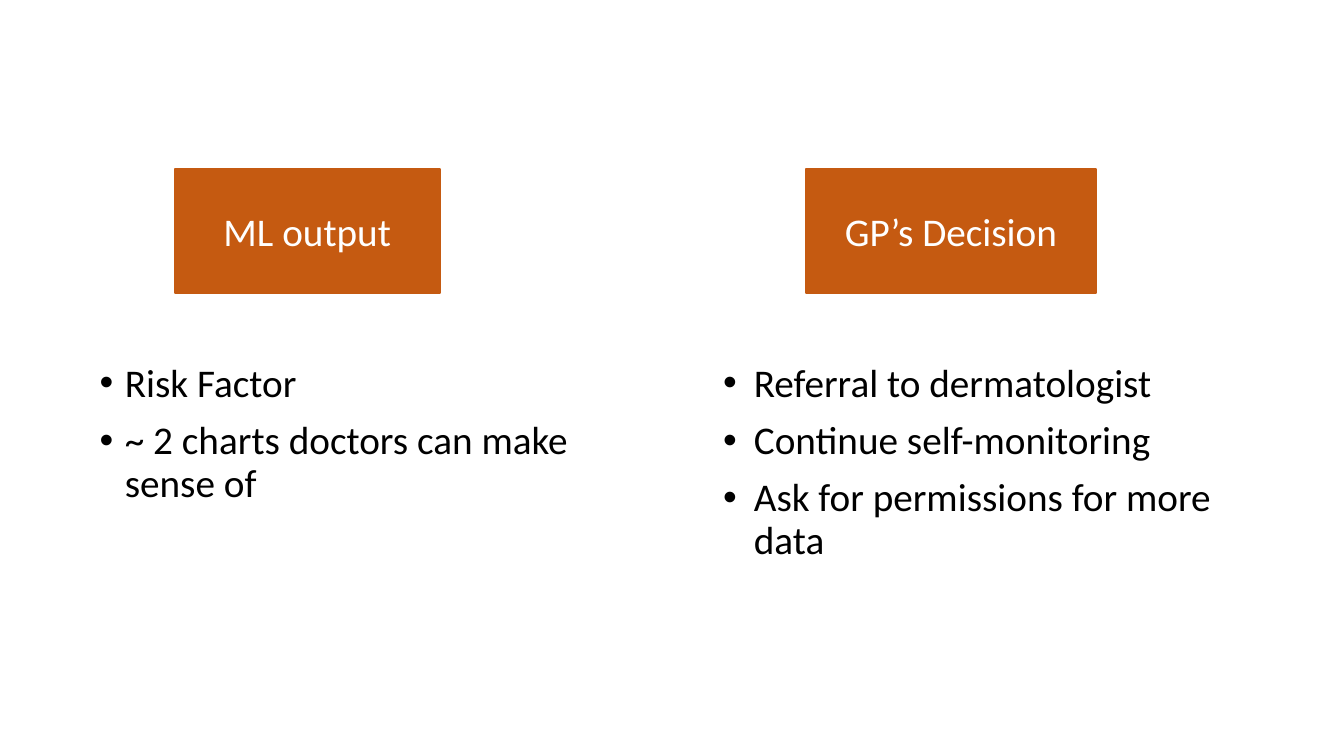
from dataclasses import dataclass

from lxml.etree import SubElement
from pptx import Presentation
from pptx.dml.color import RGBColor
from pptx.enum.shapes import MSO_SHAPE as Shape
from pptx.enum.text import MSO_ANCHOR as Anchor, PP_ALIGN as Align
from pptx.oxml.ns import qn
from pptx.util import Pt

COLOURS = {"header": "C55A11", "header_text": "FFFFFF", "body": "000000"}
FRAME_FORMAT = {
    "word_wrap": True,
    "margin_left": Pt(5.25),
    "margin_right": Pt(5.25),
    "margin_top": Pt(2.65),
    "margin_bottom": Pt(2.65),
}
FONT_FORMAT = {"name": "Calibri", "size": Pt(21)}
HEADER_TOP, HEADER_HEIGHT = 90.7, 66.2
LIST_TOP = 192.2


@dataclass(frozen=True)
class Column:
    """A header box with a bullet list below it; lengths in points."""
    header: str
    header_left: float
    header_width: float
    bullets: tuple[str, ...]
    list_left: float
    list_width: float
    list_height: float
    indent: float
    hanging: float


COLUMNS = (
    Column("ML output", 93.6, 142,
           ("Risk Factor", "~ 2 charts doctors can make sense of"),
           48.2, 296, 89.3, 13.5, 13.5),
    Column("GP’s Decision", 432, 155,
           ("Referral to dermatologist", "Continue self-monitoring",
            "Ask for permissions for more data"),
           381.6, 306, 117.4, 17, 16.5),
)


def colour(key: str) -> RGBColor:
    return RGBColor.from_string(COLOURS[key])


def apply_format(target, values: dict) -> None:
    for name, value in values.items():
        setattr(target, name, value)


def write(paragraph, text: str, colour_key: str) -> None:
    run = paragraph.add_run()
    run.text = text
    apply_format(run.font, FONT_FORMAT)
    run.font.color.rgb = colour(colour_key)


def add_bullet(paragraph, indent: float, hanging: float) -> None:
    properties = paragraph._p.get_or_add_pPr()
    properties.set("marL", str(Pt(indent)))
    properties.set("indent", str(-Pt(hanging)))
    bullet_colour = SubElement(properties, qn("a:buClr"))
    SubElement(bullet_colour, qn("a:srgbClr"), val=COLOURS["body"])
    SubElement(properties, qn("a:buFont"), typeface="Arial")
    SubElement(properties, qn("a:buChar"), char="•")


def draw_list(slide, column: Column) -> None:
    box = slide.shapes.add_textbox(Pt(column.list_left), Pt(LIST_TOP),
                                   Pt(column.list_width), Pt(column.list_height))
    frame = box.text_frame
    apply_format(frame, FRAME_FORMAT)
    for index, bullet in enumerate(column.bullets):
        paragraph = frame.add_paragraph() if index else frame.paragraphs[0]
        paragraph.line_spacing = 0.9
        paragraph.space_before = Pt(8 if index else 0)
        add_bullet(paragraph, column.indent, column.hanging)
        write(paragraph, bullet, "body")


def draw_header(slide, column: Column) -> None:
    header = slide.shapes.add_shape(
        Shape.RECTANGLE, Pt(column.header_left), Pt(HEADER_TOP),
        Pt(column.header_width), Pt(HEADER_HEIGHT))
    header.shadow.inherit = False
    header.fill.solid()
    header.fill.fore_color.rgb = colour("header")
    header.line.color.rgb = colour("header")
    header.line.width = Pt(1)
    frame = header.text_frame
    apply_format(frame, FRAME_FORMAT | {"vertical_anchor": Anchor.MIDDLE})
    frame.paragraphs[0].alignment = Align.CENTER
    write(frame.paragraphs[0], column.header, "header_text")


def main() -> None:
    deck = Presentation()
    deck.slide_width, deck.slide_height = Pt(720), Pt(405)
    slide = deck.slides.add_slide(deck.slide_layouts[6])

    # Bullet lists
    for column in COLUMNS:
        draw_list(slide, column)
    # Header boxes
    for column in COLUMNS:
        draw_header(slide, column)

    deck.save("out.pptx")


if __name__ == "__main__":
    main()
